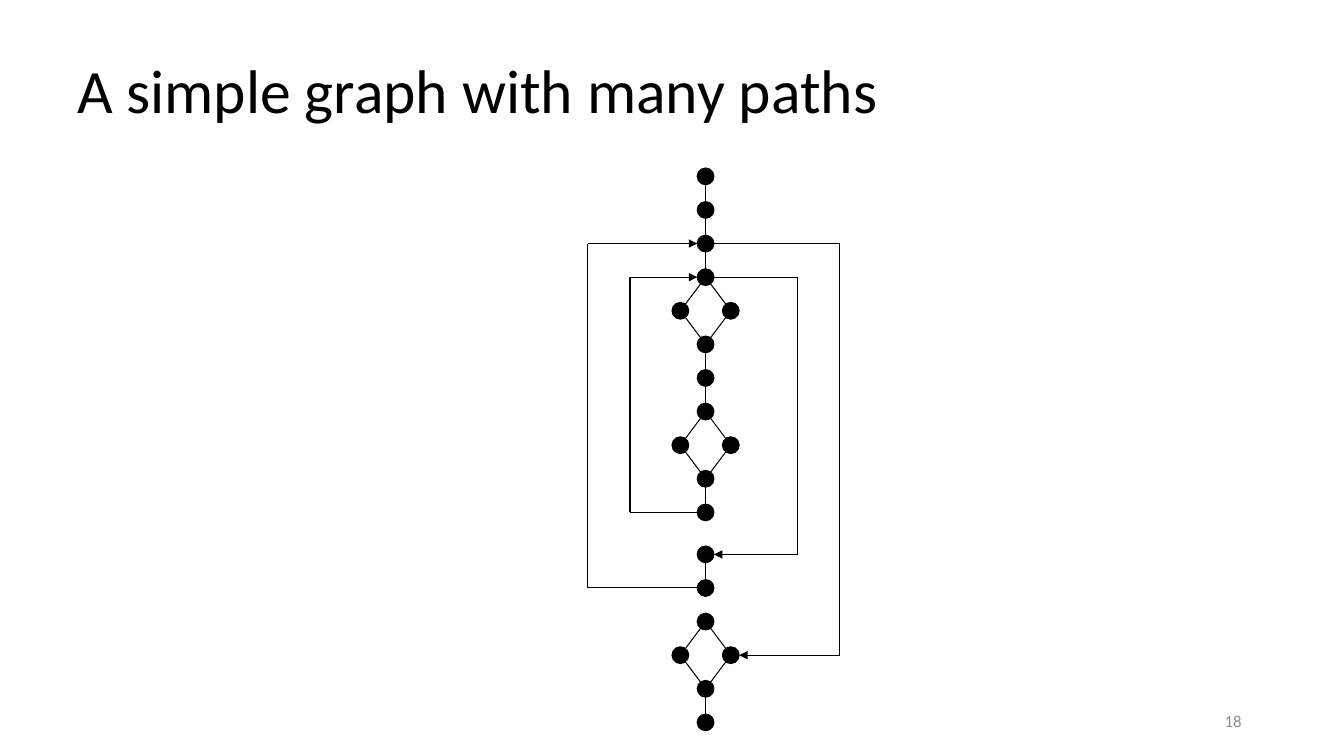
"""Build the slide that shows a simple control-flow graph with many paths."""
from itertools import pairwise

from lxml.etree import SubElement
from pptx import Presentation
from pptx.dml.color import RGBColor
from pptx.enum.shapes import MSO_CONNECTOR as Connector, MSO_SHAPE as Shape
from pptx.enum.text import MSO_ANCHOR as Anchor, PP_ALIGN as Align
from pptx.oxml.ns import qn
from pptx.util import Emu, Pt

FONT = "Calibri"
BLACK = "000000"
GREY = "8C8C8C"
CENTER = 672
STEP = 32
BRANCH = 24
RADIUS = 8

ENTRY, OUTER_HEAD, INNER_HEAD = 168, 232, 264
SECOND_BRANCH, INNER_END = 392, 488
INNER_EXIT, OUTER_END, LAST_BRANCH = 528, 560, 592


def px(length):
    """Turn pixels at 96 to the inch into EMU."""
    return Emu(length * 9525)


def color(value):
    """Turn a hex string into a colour."""
    return RGBColor.from_string(value)


def add_text(slide, text, box, size, ink, align=Align.LEFT, spacing=1.0):
    """Add a one-paragraph text box, centred vertically."""
    frame = slide.shapes.add_textbox(*map(px, box)).text_frame
    frame.word_wrap = True
    frame.vertical_anchor = Anchor.MIDDLE
    paragraph = frame.paragraphs[0]
    paragraph.text = text
    paragraph.alignment = align
    paragraph.line_spacing = spacing
    paragraph.font.name = FONT
    paragraph.font.size = Pt(size)
    paragraph.font.color.rgb = color(ink)


def add_node(slide, x, y):
    """Add a black dot centred on a point."""
    shape = slide.shapes.add_shape(
        Shape.OVAL, px(x - RADIUS), px(y - RADIUS), px(2 * RADIUS), px(2 * RADIUS))
    shape.shadow.inherit = False
    shape.fill.solid()
    shape.fill.fore_color.rgb = color(BLACK)
    shape.line.color.rgb = color(BLACK)
    shape.line.width = Pt(0.75)


def add_edge(slide, start, end, arrow=False):
    """Add a thin straight line, with an arrowhead at its end if asked."""
    edge = slide.shapes.add_connector(Connector.STRAIGHT, *map(px, (*start, *end)))
    edge.line.color.rgb = color(BLACK)
    edge.line.width = Pt(0.75)
    if arrow:
        SubElement(edge.line._get_or_add_ln(), qn("a:tailEnd"), type="triangle")
    SubElement(edge._element.spPr, qn("a:effectLst"))


def add_chain(slide, top, bottom):
    """Add a vertical run of evenly spaced nodes joined by edges."""
    for upper, lower in pairwise(range(top, bottom + 1, STEP)):
        add_edge(slide, (CENTER, upper), (CENTER, lower))
    for y in range(top, bottom + 1, STEP):
        add_node(slide, CENTER, y)


def add_diamond(slide, top):
    """Add the two side nodes of a branch and the edges around it."""
    middle, bottom = top + STEP, top + 2 * STEP
    for x in (CENTER - BRANCH, CENTER + BRANCH):
        add_edge(slide, (CENTER, top), (x, middle))
        add_edge(slide, (x, middle), (CENTER, bottom))
        add_node(slide, x, middle)


def add_detour(slide, start, side, end):
    """Add a three-part path by way of a vertical line, ending in an arrow."""
    corners = [start, (side, start[1]), (side, end[1]), end]
    for index, (here, there) in enumerate(pairwise(corners)):
        add_edge(slide, here, there, arrow=index == 2)


def main():
    """Draw the title, the graph and the slide number."""
    presentation = Presentation()
    presentation.slide_width, presentation.slide_height = px(1280), px(720)
    slide = presentation.slides.add_slide(presentation.slide_layouts[6])
    add_text(slide, "A simple graph with many paths", (64, 29, 1152, 120), 44, BLACK,
             spacing=0.9)

    left, right = CENTER - RADIUS, CENTER + RADIUS
    add_detour(slide, (left, INNER_END), 600, (left, INNER_HEAD))
    add_detour(slide, (left, OUTER_END), 560, (left, OUTER_HEAD))
    add_detour(slide, (right, INNER_HEAD), 760, (right, INNER_EXIT))
    add_detour(slide, (right, OUTER_HEAD), 800, (right + BRANCH, LAST_BRANCH + STEP))

    for top in (INNER_HEAD, SECOND_BRANCH, LAST_BRANCH):
        add_diamond(slide, top)
    chains = [
        (ENTRY, INNER_HEAD),
        (INNER_HEAD + 2 * STEP, SECOND_BRANCH),
        (SECOND_BRANCH + 2 * STEP, INNER_END),
        (INNER_EXIT, OUTER_END),
        (LAST_BRANCH, LAST_BRANCH),
        (LAST_BRANCH + 2 * STEP, LAST_BRANCH + 3 * STEP),
    ]
    for top, bottom in chains:
        add_chain(slide, top, bottom)

    add_text(slide, "18", (904, 667, 288, 38), 12, GREY, Align.RIGHT)
    presentation.save("out.pptx")


if __name__ == "__main__":
    main()
